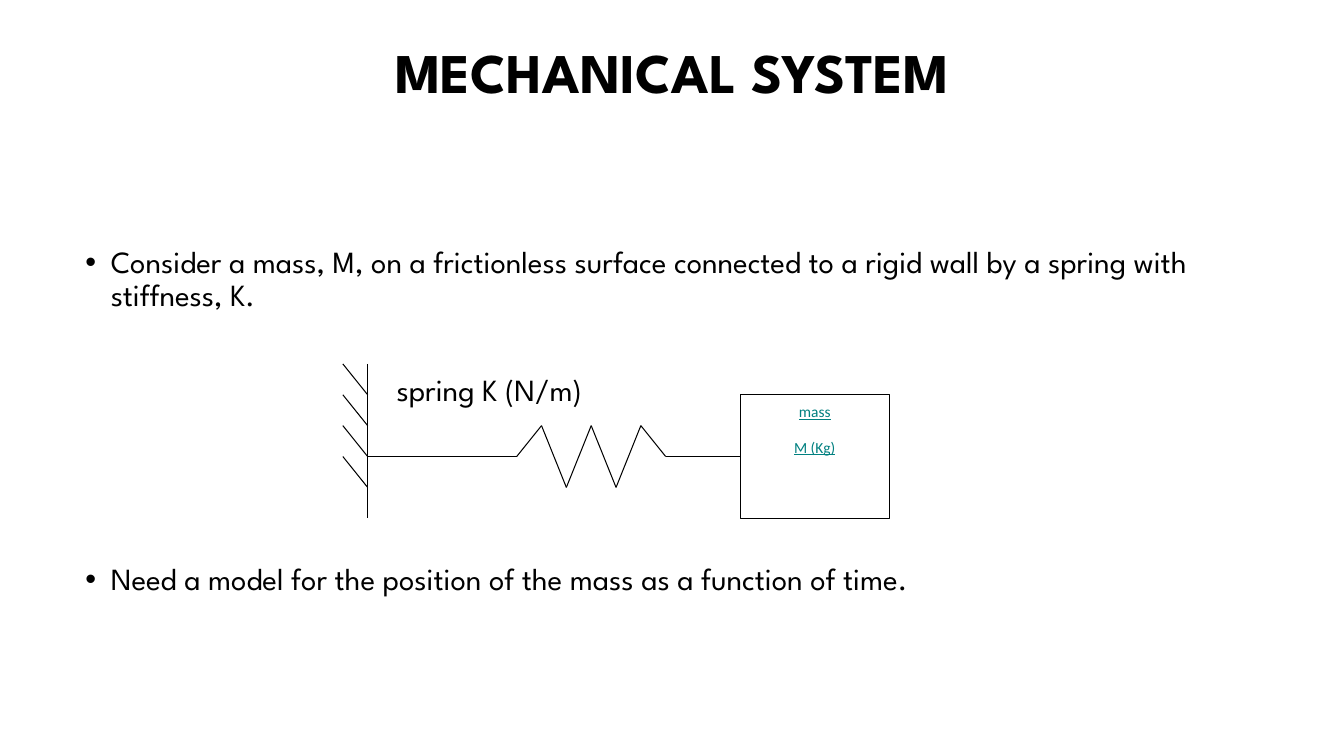
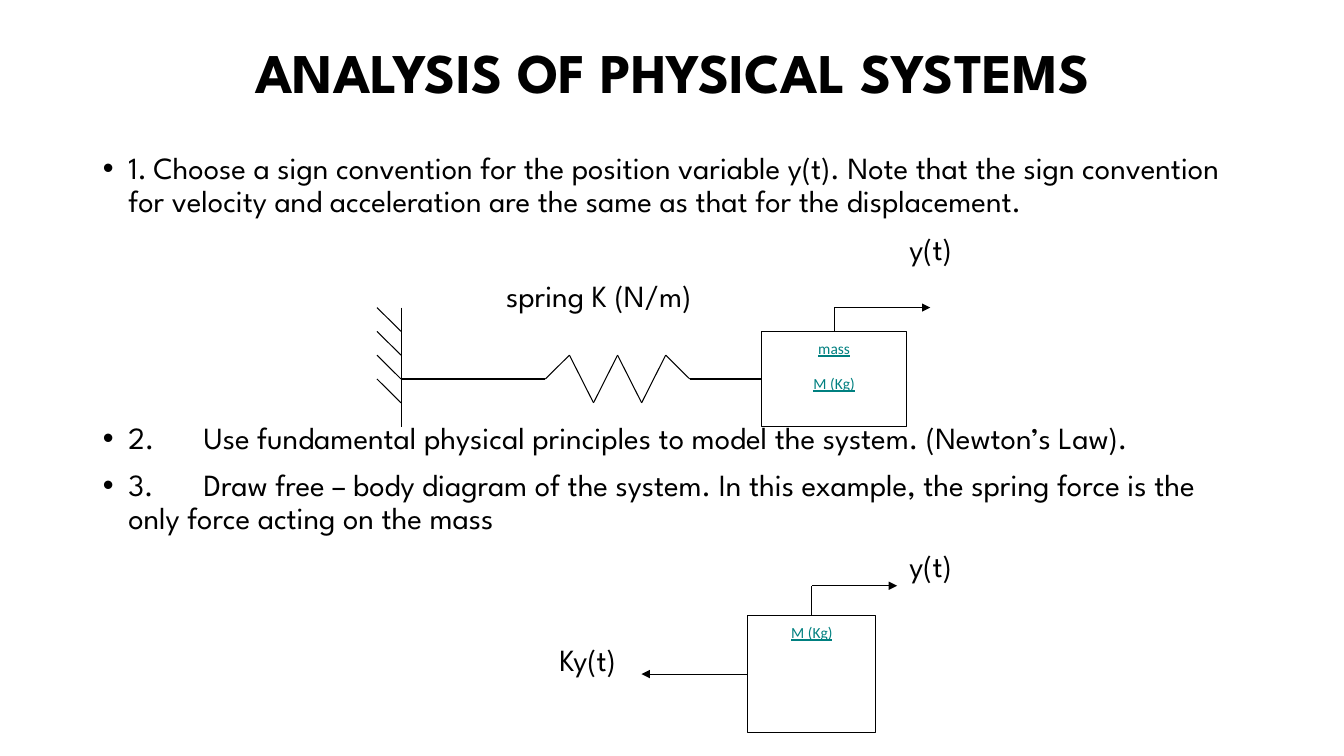
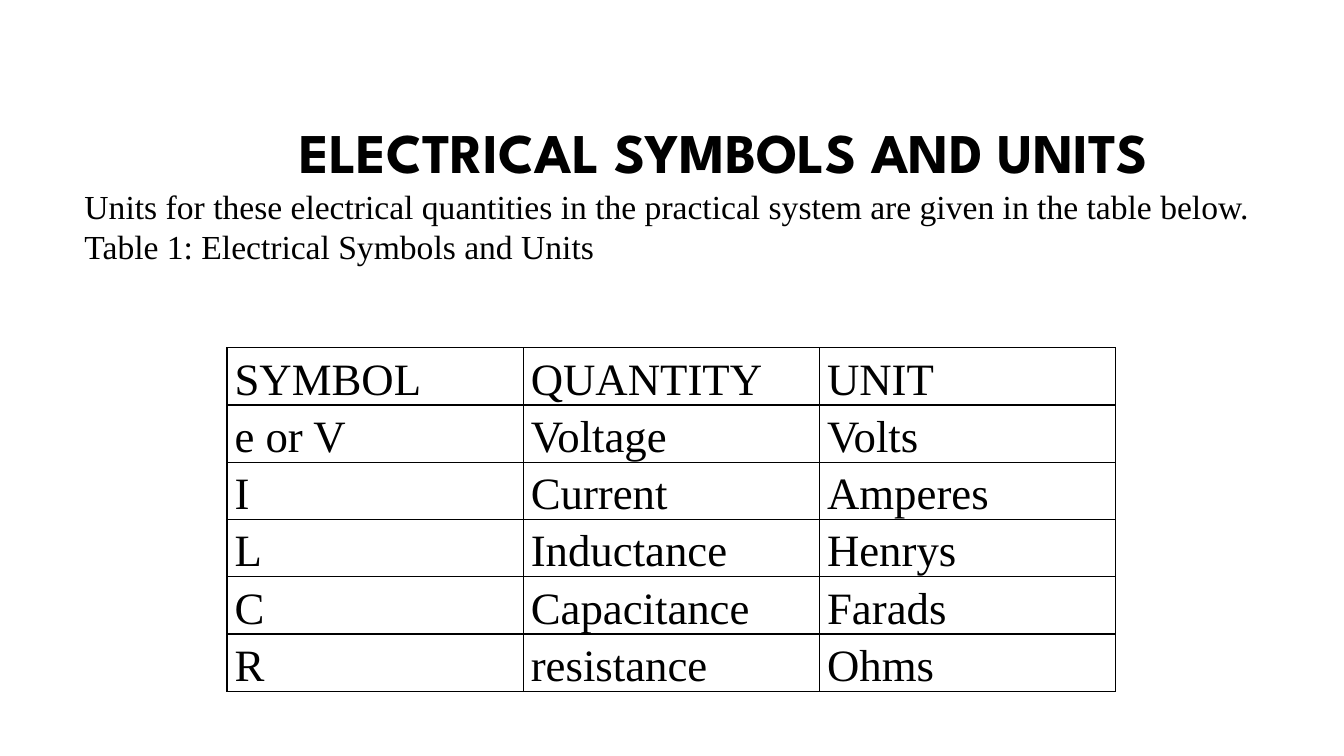
from dataclasses import dataclass
from itertools import pairwise

from lxml import etree
from pptx import Presentation
from pptx import util as u
from pptx.dml.color import RGBColor
from pptx.enum import shapes, text
from pptx.oxml import ns

BLACK = RGBColor(0x00, 0x00, 0x00)
WHITE = RGBColor(0xFF, 0xFF, 0xFF)
TEAL = RGBColor(0x00, 0x80, 0x80)

HEADING_FONT = "League Spartan"
LABEL_FONT = "Calibri"
SERIF_FONT = "Times New Roman"

TITLE_PLACE = (2.34, 0.05, 29.21, 3.68)
GAP = 10
SKIPPED_LINE = 33.8

WALL_COLUMN = 1
MASS_COLUMN = 16
MASS_MIDDLE = 19
AXIS_ROW = 3
SPRING = [(1, 3), (7, 3), (8, 2), (9, 4), (10, 2), (11, 4), (12, 2), (13, 3), (16, 3)]


@dataclass
class Grid:
    left: float
    top: float
    width: float
    height: float
    columns: int = 22
    rows: int = 5

    def point(self, column, row):
        x = self.left + column * self.width / self.columns
        y = self.top + row * self.height / self.rows
        return u.Cm(x), u.Cm(y)


@dataclass
class Item:
    words: str
    indent: float = 0
    skipped: int = 0


class Deck:
    def __init__(self):
        self.file = Presentation()
        self.file.slide_width = u.Cm(33.87)
        self.file.slide_height = u.Cm(19.05)
        self.page = None
        self.drawing = None

    def add_page(self, layout, title, place=TITLE_PLACE):
        self.page = self.file.slides.add_slide(self.file.slide_layouts.get_by_name(layout))
        box = self.page.shapes.title
        self.move(box, place)
        box.text_frame.text = title
        box.text_frame.auto_size = text.MSO_AUTO_SIZE.NONE
        box.text_frame.vertical_anchor = text.MSO_ANCHOR.MIDDLE
        para = box.text_frame.paragraphs[0]
        para.alignment = text.PP_ALIGN.CENTER
        para.line_spacing = 0.9
        self.format(para, HEADING_FONT, 40, bold=True)

    def move(self, box, place):
        box.left, box.top, box.width, box.height = map(u.Cm, place)

    def format(self, para, font, size, color=BLACK, bold=False, underline=False):
        for span in para.runs:
            span.font.name = font
            span.font.size = u.Pt(size)
            span.font.color.rgb = color
            span.font.bold = bold
            span.font.underline = underline

    def add_list(self, place, items):
        box = self.page.placeholders[1]
        self.move(box, place)
        frame = box.text_frame
        frame.text = "\n".join(item.words for item in items)
        frame.auto_size = text.MSO_AUTO_SIZE.NONE
        for number, (para, item) in enumerate(zip(frame.paragraphs, items)):
            para.line_spacing = 0.9
            para.space_before = u.Pt(GAP + SKIPPED_LINE * item.skipped if number else 0)
            properties = para._p.get_or_add_pPr()
            if item.indent:
                properties.set("marL", str(u.Cm(item.indent)))
                properties.set("indent", "0")
                etree.SubElement(properties, ns.qn("a:buNone"))
            else:
                properties.set("marL", str(u.Cm(0.64)))
                properties.set("indent", str(-u.Cm(0.64)))
                etree.SubElement(properties, ns.qn("a:buChar"), char="•")
            self.format(para, HEADING_FONT, 22)

    def add_note(self, place, words):
        box = self.page.shapes.add_textbox(*map(u.Cm, place))
        box.text_frame.word_wrap = True
        box.text_frame.text = words
        for para in box.text_frame.paragraphs:
            self.format(para, SERIF_FONT, 24)

    def add_line(self, grid, start, end, arrow=False):
        line = self.drawing.add_connector(
            shapes.MSO_CONNECTOR.STRAIGHT, *grid.point(*start), *grid.point(*end))
        line.line.color.rgb = BLACK
        line.line.width = u.Pt(0.75)
        properties = line._element.spPr
        if arrow:
            etree.SubElement(properties.find(ns.qn("a:ln")), ns.qn("a:tailEnd"), type="triangle")
        etree.SubElement(properties, ns.qn("a:effectLst"))
        return line

    def add_mass(self, grid, words):
        self.drawing = self.page.shapes.add_group_shape().shapes
        left, top = grid.point(MASS_COLUMN, 1)
        right, bottom = grid.point(grid.columns, grid.rows)
        box = self.drawing.add_shape(
            shapes.MSO_SHAPE.RECTANGLE, left, top, right - left, bottom - top)
        box.shadow.inherit = False
        box.fill.solid()
        box.fill.fore_color.rgb = WHITE
        box.line.color.rgb = BLACK
        box.line.width = u.Pt(0.75)
        box.text_frame.text = words
        box.text_frame.vertical_anchor = text.MSO_ANCHOR.TOP
        for para in box.text_frame.paragraphs:
            para.alignment = text.PP_ALIGN.CENTER
            para.line_spacing = 1.15
            para.space_after = u.Pt(10)
            self.format(para, LABEL_FONT, 11, TEAL, underline=True)
        return box

    def add_spring_system(self, grid):
        mass = self.add_mass(grid, "mass\nM (Kg)")
        self.add_line(grid, (WALL_COLUMN, 0), (WALL_COLUMN, grid.rows))
        for row in range(4):
            self.add_line(grid, (0, row), (WALL_COLUMN, row + 1))
        for start, end in pairwise(SPRING):
            line = self.add_line(grid, start, end)
        line.end_connect(mass, 1)
        return mass

    def add_motion(self, grid, mass):
        stem = self.add_line(grid, (MASS_MIDDLE, 1), (MASS_MIDDLE, 0))
        stem.begin_connect(mass, 0)
        self.add_line(grid, (MASS_MIDDLE, 0), (MASS_MIDDLE + 4, 0), arrow=True)

    def add_force(self, grid, mass):
        force = self.add_line(
            grid, (MASS_COLUMN, AXIS_ROW), (MASS_COLUMN - 5, AXIS_ROW), arrow=True)
        force.begin_connect(mass, 1)

    def add_table(self, place, rows):
        table = self.page.shapes.add_table(len(rows), len(rows[0]), *map(u.Cm, place)).table
        table.first_row = False
        table.horz_banding = False
        for row, words in enumerate(rows):
            for column, word in enumerate(words):
                self.fill_cell(table.cell(row, column), word)

    def fill_cell(self, cell, word):
        cell.margin_left = cell.margin_right = u.Cm(0.19)
        cell.margin_top = cell.margin_bottom = 0
        properties = cell._tc.get_or_add_tcPr()
        for side in ("lnL", "lnR", "lnT", "lnB"):
            border = etree.SubElement(properties, ns.qn("a:" + side), w=str(u.Pt(1)))
            fill = etree.SubElement(border, ns.qn("a:solidFill"))
            etree.SubElement(fill, ns.qn("a:srgbClr"), val=str(BLACK))
        cell.fill.background()
        cell.text_frame.text = word
        para = cell.text_frame.paragraphs[0]
        para.alignment = text.PP_ALIGN.JUSTIFY
        para.line_spacing = 1.15
        para.space_after = u.Pt(10)
        self.format(para, SERIF_FONT, 32)


def main():
    deck = Deck()

    deck.add_page("Title and Content", "MECHANICAL SYSTEM")
    deck.add_list((1.9, 6.1, 30.05, 11.18), [
        Item("Consider a mass, M, on a frictionless surface connected to a rigid wall "
             "by a spring with stiffness, K."),
        Item("spring K (N/m)", indent=7.84, skipped=1),
        Item("Need a model for the position of the mass as a function of time.", skipped=3),
    ])
    deck.add_spring_system(Grid(8.64, 9.17, 13.77, 3.89))

    deck.add_page("Title and Content", "ANALYSIS OF PHYSICAL SYSTEMS")
    deck.add_list((2.34, 3.73, 29.21, 15.27), [
        Item("1.\tChoose a sign convention for the position variable y(t). Note that the sign "
             "convention for velocity and acceleration are the same as that for the "
             "displacement."),
        Item("y(t)", indent=20.32),
        Item("spring K (N/m)", indent=10.16),
        Item("2.\tUse fundamental physical principles to model the system. (Newton’s Law).",
             skipped=2),
        Item("3.\tDraw free – body diagram of the system. In this example, the spring force "
             "is the only force acting on the mass"),
        Item("y(t)", indent=20.32),
        Item("Ky(t)", indent=11.5, skipped=1),
    ])
    system = Grid(9.5, 7.75, 13.34, 3)
    deck.add_motion(system, deck.add_spring_system(system))
    free_body = Grid(10.26, 14.76, 11.81, 3.71)
    mass = deck.add_mass(free_body, "M (Kg)")
    deck.add_motion(free_body, mass)
    deck.add_force(free_body, mass)

    deck.add_page("Title Only", "ELECTRICAL SYMBOLS AND UNITS", (4.52, 2.13, 27.43, 3.58))
    deck.add_table((5.72, 8.76, 22.4, 8.66), [
        ("SYMBOL", "QUANTITY", "UNIT"),
        ("e or V", "Voltage", "Volts"),
        ("I", "Current", "Amperes"),
        ("L", "Inductance", "Henrys"),
        ("C", "Capacitance", "Farads"),
        ("R", "resistance", "Ohms"),
    ])
    deck.add_note((1.88, 4.55, 30.1, 2.7),
                  "Units for these electrical quantities in the practical system are given "
                  "in the table below.\nTable 1: Electrical Symbols and Units")

    deck.file.save("out.pptx")


if __name__ == "__main__":
    main()
